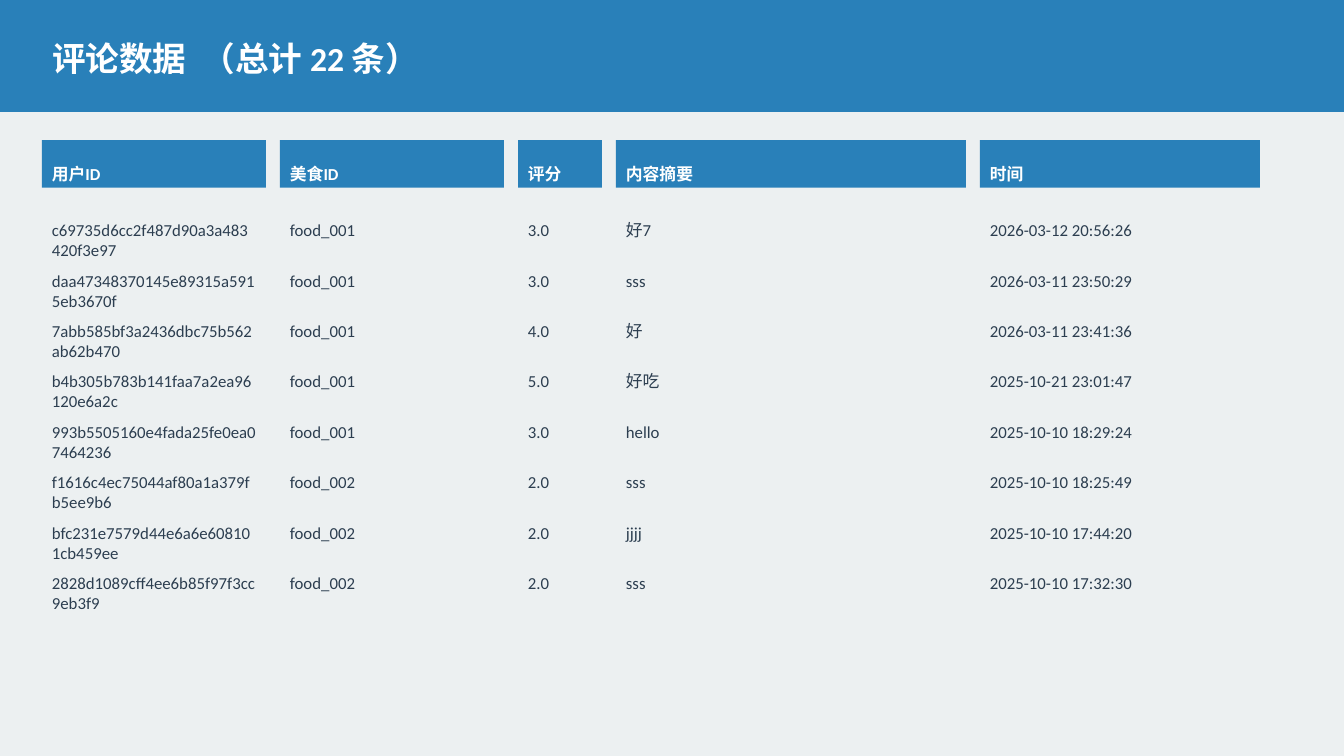
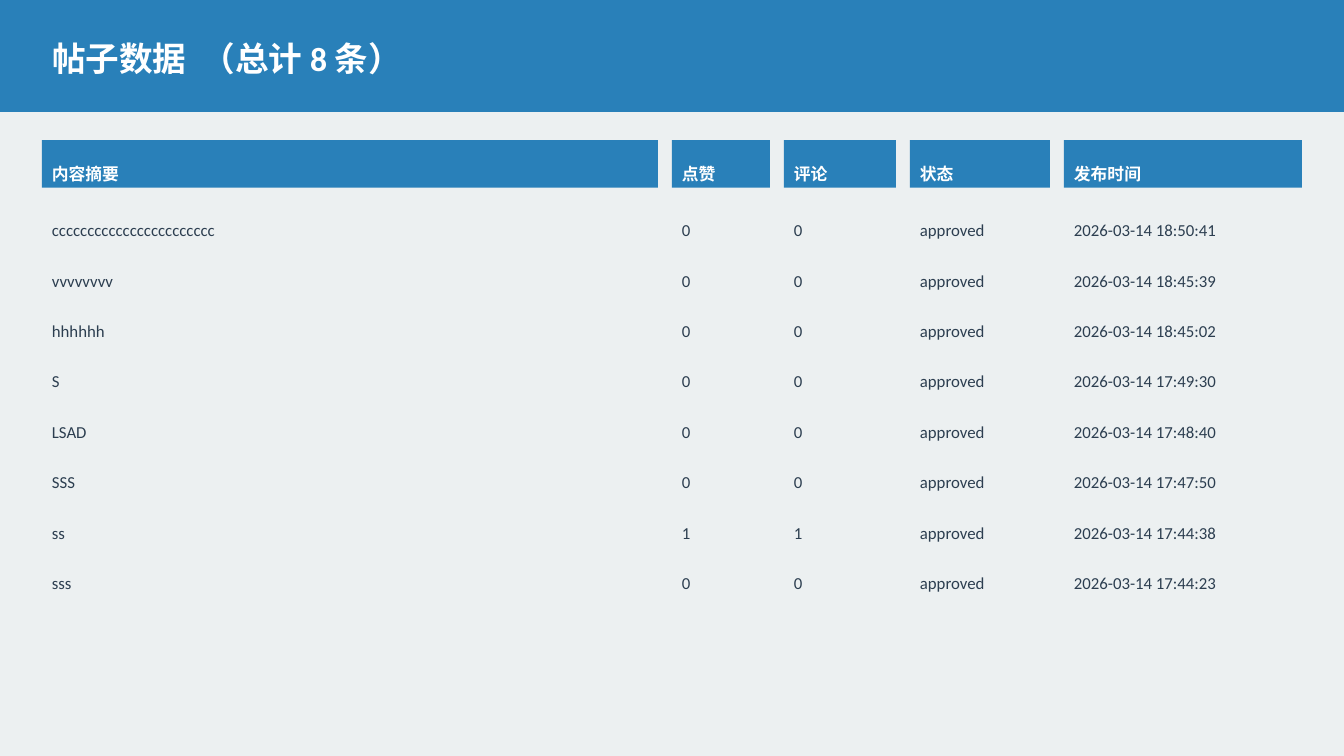
from pptx import Presentation
from pptx.dml.color import RGBColor
from pptx.enum.shapes import MSO_SHAPE as Shape
from pptx.enum.text import MSO_ANCHOR as Anchor, MSO_AUTO_SIZE as AutoSize, PP_ALIGN as Align
from pptx.util import Emu, Pt

# Shared style: lengths are px on a 960 x 540 page
SCALE = 12700
WIDTH, HEIGHT = 960, 540
MARGIN, GAP = 30, 10
BAND_HEIGHT = 80
HEADER_TOP, ROWS_TOP = 100, 140
CELL_HEIGHT, ROW_PITCH = 34, 36
TEXT_DROP = 17
FONT = "Calibri"
BLUE = RGBColor(0x29, 0x80, 0xB9)
PALE = RGBColor(0xEC, 0xF0, 0xF1)
DARK = RGBColor(0x2C, 0x3E, 0x50)
WHITE = RGBColor(0xFF, 0xFF, 0xFF)


def px(*lengths):
    return [Emu(length * SCALE) for length in lengths]


class RecordDeck:
    def __init__(self):
        self.deck = Presentation()
        self.deck.slide_width, self.deck.slide_height = px(WIDTH, HEIGHT)
        background = self.deck.slide_master.background.fill
        background.solid()
        background.fore_color.rgb = PALE
        self.page = None

    def add_page(self, subject, count):
        self.page = self.deck.slides.add_slide(self.deck.slide_layouts[5])
        band = self.block(0, 0, WIDTH, BAND_HEIGHT)
        title = self.page.shapes.title
        title._element.addprevious(band._element)
        title.left, title.top, title.width, title.height = px(MARGIN, 10, 900, 60)
        para = self.frame(title)
        self.span(para, subject, 24, WHITE, True)
        # One widened space separates the subject from the count
        space = self.span(para, " ", 24, WHITE, True)
        space._r.get_or_add_rPr().set("spc", "540")
        self.span(para, f"（总计 {count} 条）", 24, WHITE, True)

    def block(self, left, top, width, height):
        box = self.page.shapes.add_shape(Shape.RECTANGLE, *px(left, top, width, height))
        box.shadow.inherit = False
        box.fill.solid()
        box.fill.fore_color.rgb = BLUE
        box.line.fill.background()
        return box

    def frame(self, box):
        frame = box.text_frame
        frame.word_wrap = True
        frame.auto_size = AutoSize.NONE
        frame.vertical_anchor = Anchor.TOP
        frame.margin_top, frame.margin_bottom = px(TEXT_DROP, 0)
        para = frame.paragraphs[0]
        para.alignment = Align.LEFT
        return para

    def span(self, para, text, size, color, bold=False):
        span = para.add_run()
        span.text = text
        span.font.name = FONT
        span.font.size = Pt(size)
        span.font.bold = bold
        span.font.color.rgb = color
        return span

    def header_cell(self, text, left, width):
        box = self.block(left, HEADER_TOP, width, CELL_HEIGHT)
        self.span(self.frame(box), text, 12, WHITE, True)

    def record_cell(self, text, left, top, width):
        box = self.page.shapes.add_textbox(*px(left, top, width, CELL_HEIGHT))
        self.span(self.frame(box), text, 12, DARK)

    def records(self, columns, rows):
        left = MARGIN
        for index, (heading, width) in enumerate(columns):
            self.header_cell(heading, left, width)
            for line, row in enumerate(rows):
                self.record_cell(row[index], left, ROWS_TOP + line * ROW_PITCH, width)
            left += width + GAP


# Records
COMMENT_COLUMNS = [("用户ID", 160), ("美食ID", 160), ("评分", 60), ("内容摘要", 250), ("时间", 200)]
COMMENTS = [
    ("c69735d6cc2f487d90a3a483420f3e97", "food_001", "3.0", "好7", "2026-03-12 20:56:26"),
    ("daa47348370145e89315a5915eb3670f", "food_001", "3.0", "sss", "2026-03-11 23:50:29"),
    ("7abb585bf3a2436dbc75b562ab62b470", "food_001", "4.0", "好", "2026-03-11 23:41:36"),
    ("b4b305b783b141faa7a2ea96120e6a2c", "food_001", "5.0", "好吃", "2025-10-21 23:01:47"),
    ("993b5505160e4fada25fe0ea07464236", "food_001", "3.0", "hello", "2025-10-10 18:29:24"),
    ("f1616c4ec75044af80a1a379fb5ee9b6", "food_002", "2.0", "sss", "2025-10-10 18:25:49"),
    ("bfc231e7579d44e6a6e608101cb459ee", "food_002", "2.0", "jjjj", "2025-10-10 17:44:20"),
    ("2828d1089cff4ee6b85f97f3cc9eb3f9", "food_002", "2.0", "sss", "2025-10-10 17:32:30"),
]
POST_COLUMNS = [("内容摘要", 440), ("点赞", 70), ("评论", 80), ("状态", 100), ("发布时间", 170)]
POSTS = [
    ("ccccccccccccccccccccccc", "0", "0", "approved", "2026-03-14 18:50:41"),
    ("vvvvvvvv", "0", "0", "approved", "2026-03-14 18:45:39"),
    ("hhhhhh", "0", "0", "approved", "2026-03-14 18:45:02"),
    ("S", "0", "0", "approved", "2026-03-14 17:49:30"),
    ("LSAD", "0", "0", "approved", "2026-03-14 17:48:40"),
    ("SSS", "0", "0", "approved", "2026-03-14 17:47:50"),
    ("ss", "1", "1", "approved", "2026-03-14 17:44:38"),
    ("sss", "0", "0", "approved", "2026-03-14 17:44:23"),
]


def main():
    report = RecordDeck()

    # Comments
    report.add_page("评论数据", 22)
    report.records(COMMENT_COLUMNS, COMMENTS)

    # Posts
    report.add_page("帖子数据", 8)
    report.records(POST_COLUMNS, POSTS)

    report.deck.save("out.pptx")


if __name__ == "__main__":
    main()
